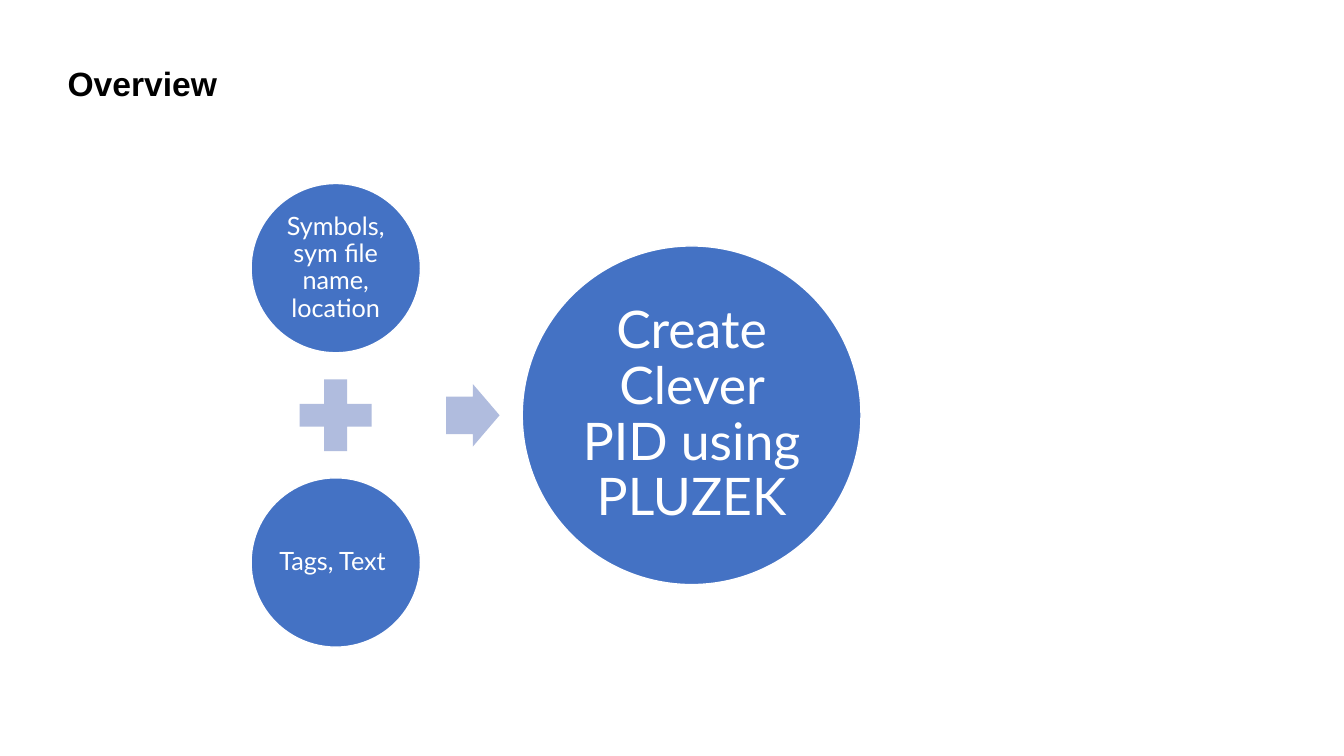
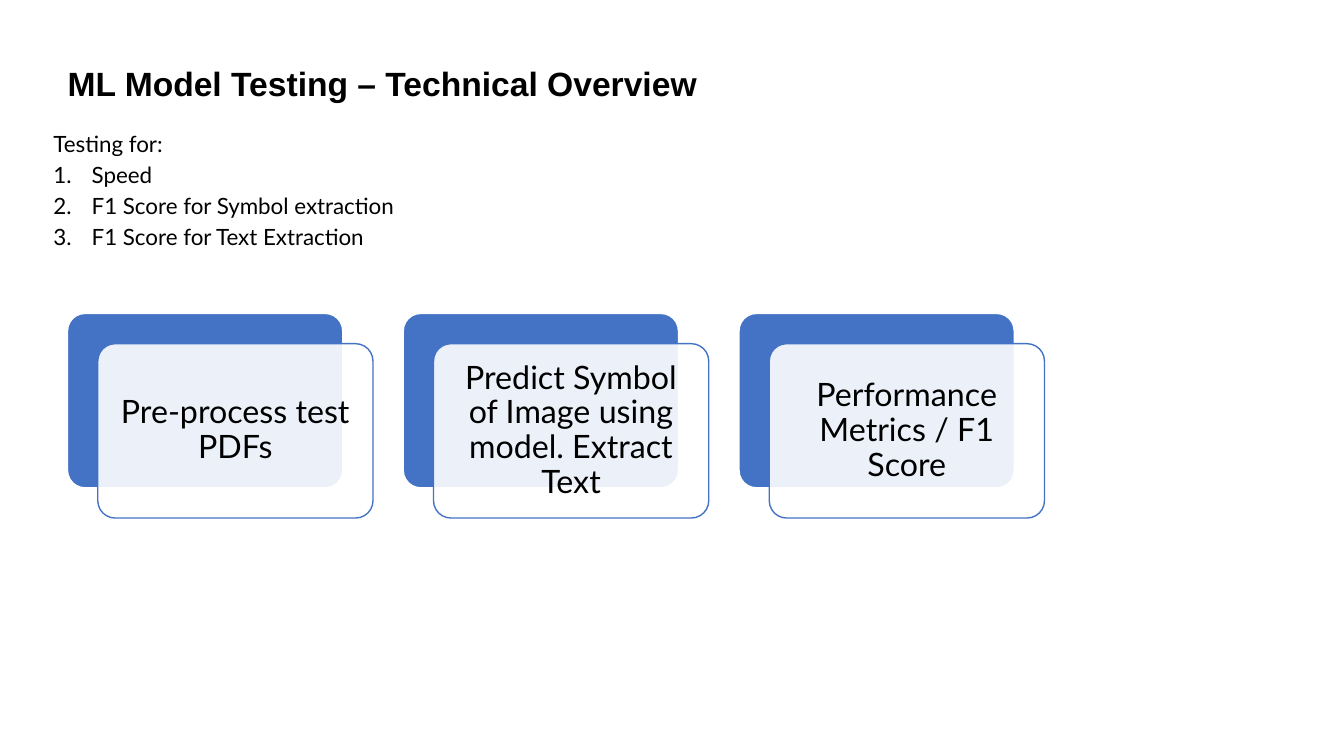
import pptx
import pptx.util
import pptx.dml.color
import pptx.enum.shapes
import pptx.enum.text
import pptx.oxml
import pptx.oxml.ns
from lxml import etree

Inches = pptx.util.Inches
Pt = pptx.util.Pt
KIND = pptx.enum.shapes.MSO_SHAPE
ALIGN = pptx.enum.text.PP_ALIGN
ANCHOR = pptx.enum.text.MSO_ANCHOR

HUES = {"blue": "4472C4", "pale": "B0BCDE", "white": "FFFFFF", "black": "000000"}
HEAD, BODY = "Arial", "Lato"

TITLES = ["Overview", "ML Model Testing – Technical Overview"]
INPUTS = ["Symbols, sym file name, location", "Tags, Text "]
RESULT = "Create Clever PID using PLUZEK"
INTRO = "Testing for:"
TESTS = ["Speed", "F1 Score for Symbol extraction", "F1 Score for Text Extraction"]
STEPS = [
    "Pre-process test PDFs",
    "Predict Symbol of Image using model. Extract Text",
    "Performance Metrics / F1 Score",
]

MID_X, MID_Y = 3.33, 4.12
SMALL, LARGE, RISE = 1.68, 3.36, 1.46
CARD_W, CARD_H, CARD_X, CARD_Y = 2.73, 1.73, 0.67, 3.11
STEP, SHIFT = 3.33, 0.3


def color(name):
    return pptx.dml.color.RGBColor.from_string(HUES[name])


def write(para, text, size, hue="black", font=BODY, bold=False):
    para.line_spacing = 0.9
    run = para.add_run()
    run.text = text
    run.font.name = font
    run.font.size = Pt(size)
    run.font.bold = bold
    run.font.color.rgb = color(hue)


def pad(frame, inset):
    frame.word_wrap = True
    frame.margin_left = frame.margin_right = Inches(inset)
    frame.margin_top = frame.margin_bottom = Inches(inset)


def text_box(slide, *box):
    frame = slide.shapes.add_textbox(*map(Inches, box)).text_frame
    pad(frame, 0)
    return frame


def draw(slide, kind, box, fill, line=None, adjust=()):
    shape = slide.shapes.add_shape(kind, *map(Inches, box))
    shape.shadow.inherit = False
    shape.fill.solid()
    shape.fill.fore_color.rgb = color(fill)
    if line:
        shape.line.color.rgb = color(line)
        shape.line.width = Pt(1)
    else:
        shape.line.fill.background()
    for i, value in enumerate(adjust):
        shape.adjustments[i] = value
    return shape


def label(shape, text, size, hue, inset):
    frame = shape.text_frame
    pad(frame, inset)
    frame.vertical_anchor = ANCHOR.MIDDLE
    para = frame.paragraphs[0]
    para.alignment = ALIGN.CENTER
    write(para, text, size, hue)


def center(x, y, width, height):
    return x - width / 2, y - height / 2, width, height


def circle(slide, x, y, size, text, points, inset):
    shape = draw(slide, KIND.OVAL, center(x, y, size, size), "blue", "white")
    label(shape, text, points, "white", inset)


def number(para):
    props = para._p.get_or_add_pPr()
    props.set("marL", str(Inches(0.38)))
    props.set("indent", str(-Inches(0.38)))
    bullet = etree.SubElement(props, pptx.oxml.ns.qn("a:buAutoNum"))
    bullet.set("type", "arabicPeriod")


def fade(shape, percent):
    tint = shape.fill._xPr.find(".//" + pptx.oxml.ns.qn("a:srgbClr"))
    alpha = etree.SubElement(tint, pptx.oxml.ns.qn("a:alpha"))
    alpha.set("val", str(percent * 1000))


def new_slide(deck, title):
    slide = deck.slides.add_slide(deck.slide_layouts[6])
    frame = text_box(slide, 0.67, 0.67, 9.7, 0.45)
    write(frame.paragraphs[0], title, 24, font=HEAD, bold=True)
    return slide


def overview(slide):
    for text, side in zip(INPUTS, (-1, 1)):
        circle(slide, MID_X, MID_Y + side * RISE, SMALL, text, 18, 0.03)
    draw(slide, KIND.MATH_PLUS, center(MID_X, MID_Y, 0.97, 0.97), "pale")
    draw(slide, KIND.RIGHT_ARROW, center(4.69, MID_Y, 0.53, 0.62), "pale",
         adjust=(0.6, 0.5))
    circle(slide, 6.86, MID_Y, LARGE, RESULT, 37, 0.05)


def testing(slide):
    for i, text in enumerate(STEPS):
        x = CARD_X + i * STEP
        draw(slide, KIND.ROUNDED_RECTANGLE, (x, CARD_Y, CARD_W, CARD_H),
             "blue", "white", (0.1,))
        front = draw(slide, KIND.ROUNDED_RECTANGLE,
                     (x + SHIFT, CARD_Y + SHIFT, CARD_W, CARD_H),
                     "white", "blue", (0.1,))
        fade(front, 90)
        label(front, text, 23, "black", 0.1)
    frame = text_box(slide, 0.53, 1.32, 9.7, 1.25)
    write(frame.paragraphs[0], INTRO, 16)
    for text in TESTS:
        para = frame.add_paragraph()
        para.space_before = Pt(5)
        write(para, text, 16)
        number(para)


def main():
    deck = pptx.Presentation()
    deck.slide_width, deck.slide_height = Inches(13.33), Inches(7.5)
    for title, build in zip(TITLES, (overview, testing)):
        build(new_slide(deck, title))
    deck.save("out.pptx")


if __name__ == "__main__":
    main()
